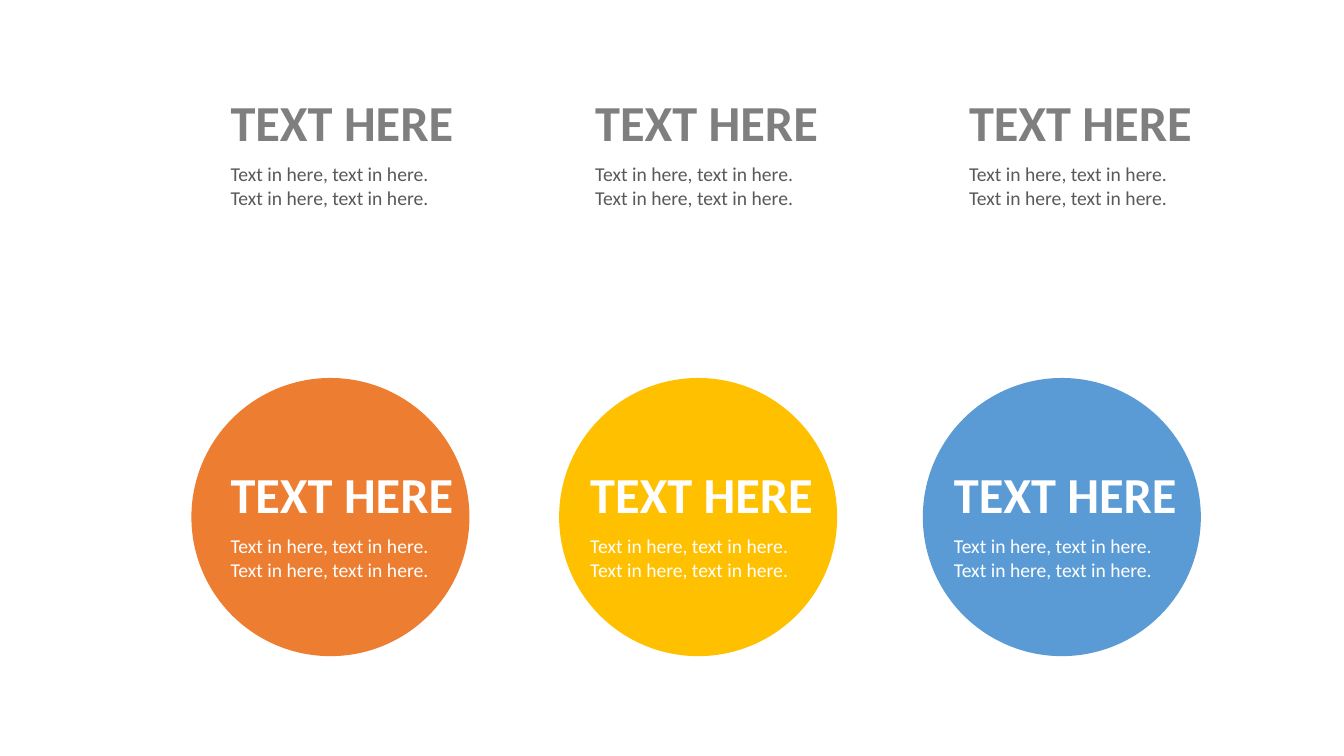
from dataclasses import dataclass

from pptx import Presentation
from pptx.dml.color import RGBColor
from pptx.enum.shapes import MSO_SHAPE
from pptx.enum.text import MSO_AUTO_SIZE
from pptx.slide import Slide
from pptx.util import Emu, Pt

EMU_PER_PX = 9144  # 100 px to the inch


@dataclass(frozen=True)
class Theme:
    font: str = "Calibri"
    heading_size: int = 36
    body_size: int = 14
    heading_grey: str = "7F7F7F"
    body_grey: str = "595959"
    white: str = "FFFFFF"
    orange: str = "ED7D31"
    yellow: str = "FFC000"
    blue: str = "5B9BD5"


@dataclass(frozen=True)
class TextStyle:
    size: int
    color: str
    bold: bool = False


@dataclass(frozen=True)
class Column:
    top_text_left: int
    circle_left: int
    circle_text_left: int
    circle_color: str


THEME = Theme()
HEADING = "TEXT HERE"
BODY = ["Text in here, text in here."] * 2

PAGE_WIDTH, PAGE_HEIGHT = 1334, 750
TOP_TEXT_TOP, CIRCLE_TEXT_TOP = 86, 455
CIRCLE_TOP, CIRCLE_SIZE = 375, 276
HEADING_WIDTH, HEADING_HEIGHT = 295, 70
BODY_WIDTH, BODY_HEIGHT = 335, 57

COLUMNS = [
    Column(219, 190, 219, THEME.orange),
    Column(581, 555, 576, THEME.yellow),
    Column(952, 916, 937, THEME.blue),
]


def px(length: int) -> Emu:
    return Emu(length * EMU_PER_PX)


def add_circle(page: Slide, left: int, color: str) -> None:
    circle = page.shapes.add_shape(
        MSO_SHAPE.OVAL, px(left), px(CIRCLE_TOP), px(CIRCLE_SIZE), px(CIRCLE_SIZE)
    )
    circle.shadow.inherit = False
    circle.fill.solid()
    circle.fill.fore_color.rgb = RGBColor.from_string(color)
    circle.line.fill.background()


def add_text(page: Slide, left: int, top: int, width: int, height: int,
             lines: list[str], style: TextStyle) -> None:
    box = page.shapes.add_textbox(px(left), px(top), px(width), px(height))
    frame = box.text_frame
    frame.word_wrap = True
    frame.auto_size = MSO_AUTO_SIZE.SHAPE_TO_FIT_TEXT
    for index, line in enumerate(lines):
        para = frame.add_paragraph() if index else frame.paragraphs[0]
        span = para.add_run()
        span.text = line
        span.font.name = THEME.font
        span.font.size = Pt(style.size)
        span.font.bold = style.bold
        span.font.color.rgb = RGBColor.from_string(style.color)


def add_text_block(page: Slide, left: int, top: int,
                   heading_color: str, body_color: str) -> None:
    add_text(page, left, top, HEADING_WIDTH, HEADING_HEIGHT, [HEADING],
             TextStyle(THEME.heading_size, heading_color, bold=True))
    add_text(page, left, top + HEADING_HEIGHT, BODY_WIDTH, BODY_HEIGHT, BODY,
             TextStyle(THEME.body_size, body_color))


def main() -> None:
    deck = Presentation()
    deck.slide_width, deck.slide_height = px(PAGE_WIDTH), px(PAGE_HEIGHT)
    page = deck.slides.add_slide(deck.slide_layouts[6])

    # Circles, behind all text
    for column in COLUMNS:
        add_circle(page, column.circle_left, column.circle_color)

    # Grey text along the top
    for column in COLUMNS:
        add_text_block(page, column.top_text_left, TOP_TEXT_TOP,
                       THEME.heading_grey, THEME.body_grey)

    # White text on the circles
    for column in COLUMNS:
        add_text_block(page, column.circle_text_left, CIRCLE_TEXT_TOP,
                       THEME.white, THEME.white)

    deck.save("out.pptx")


if __name__ == "__main__":
    main()
